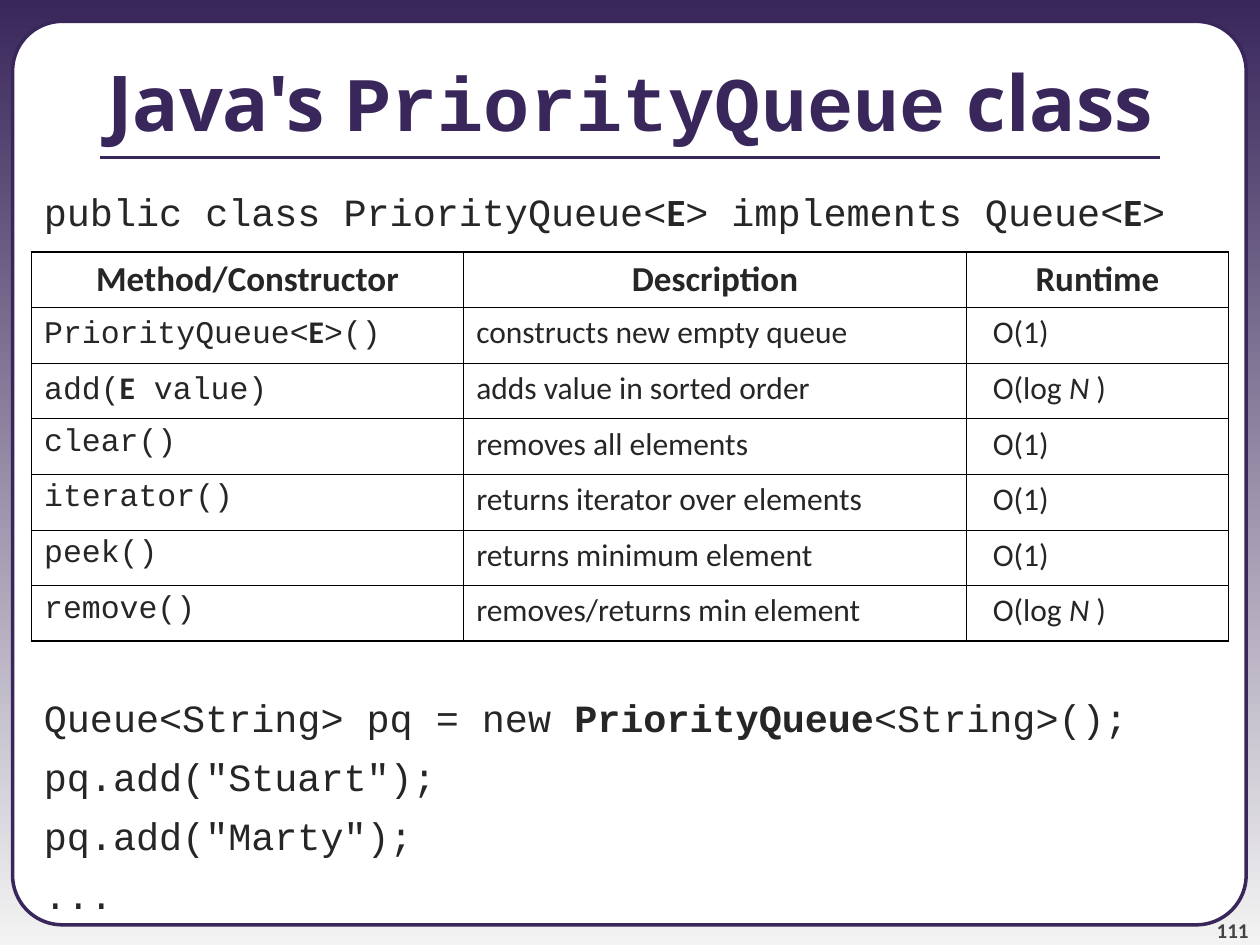
"""Build the slide on Java's PriorityQueue class."""
from lxml import etree
from pptx import Presentation, util as u
from pptx.dml.color import RGBColor
from pptx.enum import shapes, text
from pptx.oxml.ns import qn

PURPLE, INK, GREY, WHITE, PALE, BLACK = (
    "39275B", "262626", "424242", "FFFFFF", "F3F3F3", "000000")
MONO = {"name": "Courier New"}
SANS = {"name": "Calibri"}
BOLD = {"name": "Calibri", "bold": True}
TILT = {"name": "Calibri", "italic": True}
HEAD = {"name": "Open Sans"}
LEFT, MID, RIGHT = text.PP_ALIGN.LEFT, text.PP_ALIGN.CENTER, text.PP_ALIGN.RIGHT
TOP, BASE = text.MSO_ANCHOR.TOP, text.MSO_ANCHOR.BOTTOM


def tint(code):
    return RGBColor.from_string(code)


class Deck:
    def __init__(self):
        self.show = Presentation()
        self.show.slide_width, self.show.slide_height = u.Inches(10), u.Inches(7.5)
        self.slide = self.show.slides.add_slide(self.show.slide_layouts[6])

    def back(self, *codes):
        fill = self.slide.background.fill
        fill.gradient()
        fill.gradient_angle = 270
        for stop, code in zip(fill.gradient_stops, codes):
            stop.color.rgb = tint(code)

    def panel(self, box, curve):
        form = self.slide.shapes.add_shape(
            shapes.MSO_SHAPE.ROUNDED_RECTANGLE, *map(u.Inches, box))
        form.adjustments[0] = curve
        form.shadow.inherit = False
        form.fill.solid()
        form.fill.fore_color.rgb = tint(WHITE)
        form.line.color.rgb = tint(PURPLE)
        form.line.width = u.Pt(2)

    def rule(self, ends):
        line = self.slide.shapes.add_connector(
            shapes.MSO_CONNECTOR.STRAIGHT, *map(u.Inches, ends))
        line.line.color.rgb = tint(PURPLE)
        line.line.width = u.Pt(2.25)
        etree.SubElement(line._element.spPr, qn("a:effectLst"))

    def phrase(self, para, runs, size, code, align=LEFT):
        para.alignment = align
        for words, style in runs:
            run = para.add_run()
            run.text = words
            run.font.color.rgb = tint(code)
            for key, value in {"size": u.Pt(size), **style}.items():
                setattr(run.font, key, value)

    def label(self, box, lines, size, code, align=LEFT, anchor=TOP, inset=(0.1, 0.05), gap=0):
        frame = self.slide.shapes.add_textbox(*map(u.Inches, box)).text_frame
        wide, high = map(u.Inches, inset)
        form = {"word_wrap": True, "vertical_anchor": anchor, "margin_left": wide,
                "margin_right": wide, "margin_top": high, "margin_bottom": high}
        for key, value in form.items():
            setattr(frame, key, value)
        for num, runs in enumerate(lines):
            para = frame.add_paragraph() if num else frame.paragraphs[0]
            if num:
                para.space_before = u.Pt(gap)
            self.phrase(para, runs, size, code, align)

    def edge(self, cell, side, width):
        line = etree.SubElement(
            cell._tc.get_or_add_tcPr(), qn(f"a:ln{side}"), w=str(u.Pt(width)))
        fill = etree.SubElement(line, qn("a:solidFill"))
        etree.SubElement(fill, qn("a:srgbClr"), val=BLACK)

    def table(self, box, widths, rows):
        grid = self.slide.shapes.add_table(
            len(rows), len(widths), *map(u.Inches, box)).table
        grid.first_row = grid.horz_banding = False
        for col, width in zip(grid.columns, widths):
            col.width = u.Inches(width)
        low, last = len(rows) - 1, len(widths) - 1
        for r, row in enumerate(rows):
            for c, runs in enumerate(row):
                cell = grid.cell(r, c)
                outer = {"L": c == 0, "R": c == last, "T": r == 0, "B": r == low}
                for side, thick in outer.items():
                    self.edge(cell, side, 1.08 if thick else 0.45)
                cell.fill.background()
                if r and c == last:
                    cell.margin_left = u.Inches(0.21)
                self.phrase(cell.text_frame.paragraphs[0], runs,
                            18 if r else 20, INK, LEFT if r else MID)


def main():
    deck = Deck()
    deck.back(PURPLE, PALE)
    deck.panel((0.1, 0.17, 9.79, 7.17), 0.055)
    deck.label((9.08, 7.08, 0.83, 0.4), [[("111", BOLD)]], 12, GREY,
               RIGHT, BASE, (0, 0))
    deck.rule((0.79, 1.25, 9.21, 1.25))
    title = [("Java's ", HEAD), ("PriorityQueue", MONO), (" class", HEAD)]
    deck.label((0, 0.17, 10, 1.25),
               [[(words, {**style, "bold": True}) for words, style in title]],
               44, PURPLE, MID, text.MSO_ANCHOR.MIDDLE)

    kind = ("E", BOLD)
    deck.label((0.25, 1.44, 9.75, 0.5), [[
        ("public class PriorityQueue<", MONO), kind,
        ("> implements Queue<", MONO), kind, (">", MONO)]], 22, INK)

    fast = [("O(1)", SANS)]
    slow = [("O(log ", SANS), ("N", TILT), (" )", SANS)]
    calls = [
        ([("PriorityQueue<", MONO), kind, (">()", MONO)], "constructs new empty queue", fast),
        ([("add(", MONO), kind, (" value)", MONO)], "adds value in sorted order", slow),
        ([("clear()", MONO)], "removes all elements", fast),
        ([("iterator()", MONO)], "returns iterator over elements", fast),
        ([("peek()", MONO)], "returns minimum element", fast),
        ([("remove()", MONO)], "removes/returns min element", slow),
    ]
    heads = [[(words, BOLD)] for words in ("Method/Constructor", "Description", "Runtime")]
    rows = [heads] + [[call, [(does, SANS)], cost] for call, does, cost in calls]
    deck.table((0.25, 2, 9.5, 3.09), (3.43, 3.99, 2.08), rows)

    code = [
        [("Queue<String> pq = new ", MONO), ("PriorityQueue", {**MONO, "bold": True}),
         ("<String>();", MONO)],
        [('pq.add("Stuart");', MONO)],
        [('pq.add("Marty");', MONO)],
        [("...", MONO)],
    ]
    deck.label((0.25, 5.46, 9.75, 1.85), code, 22, INK, gap=7.3)
    deck.show.save("out.pptx")


if __name__ == "__main__":
    main()
